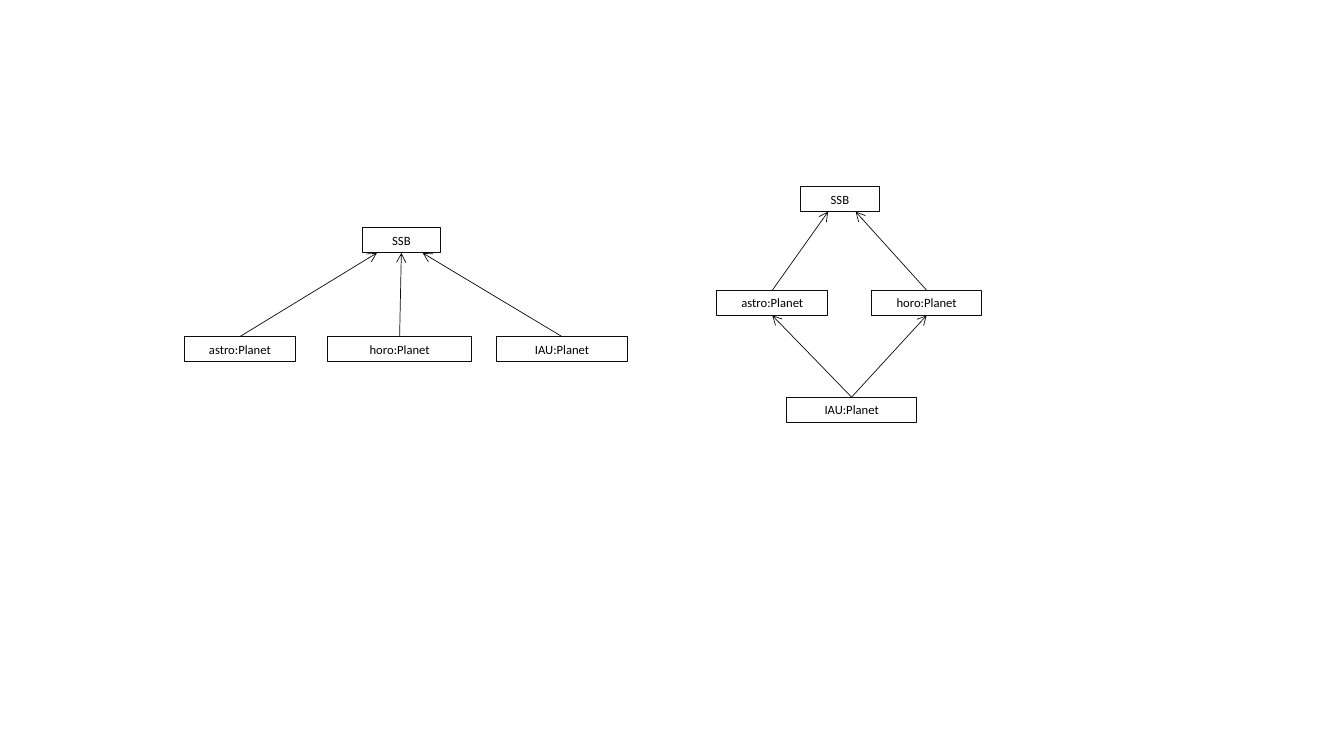
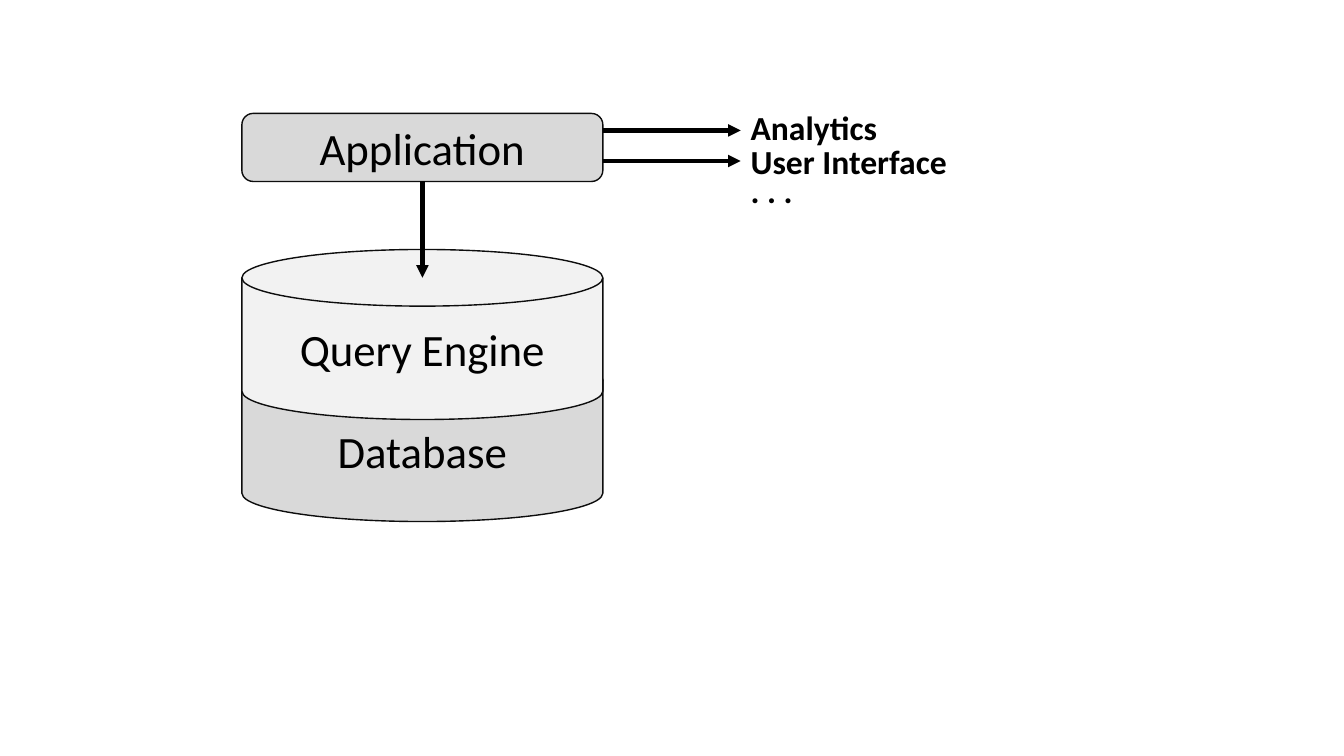
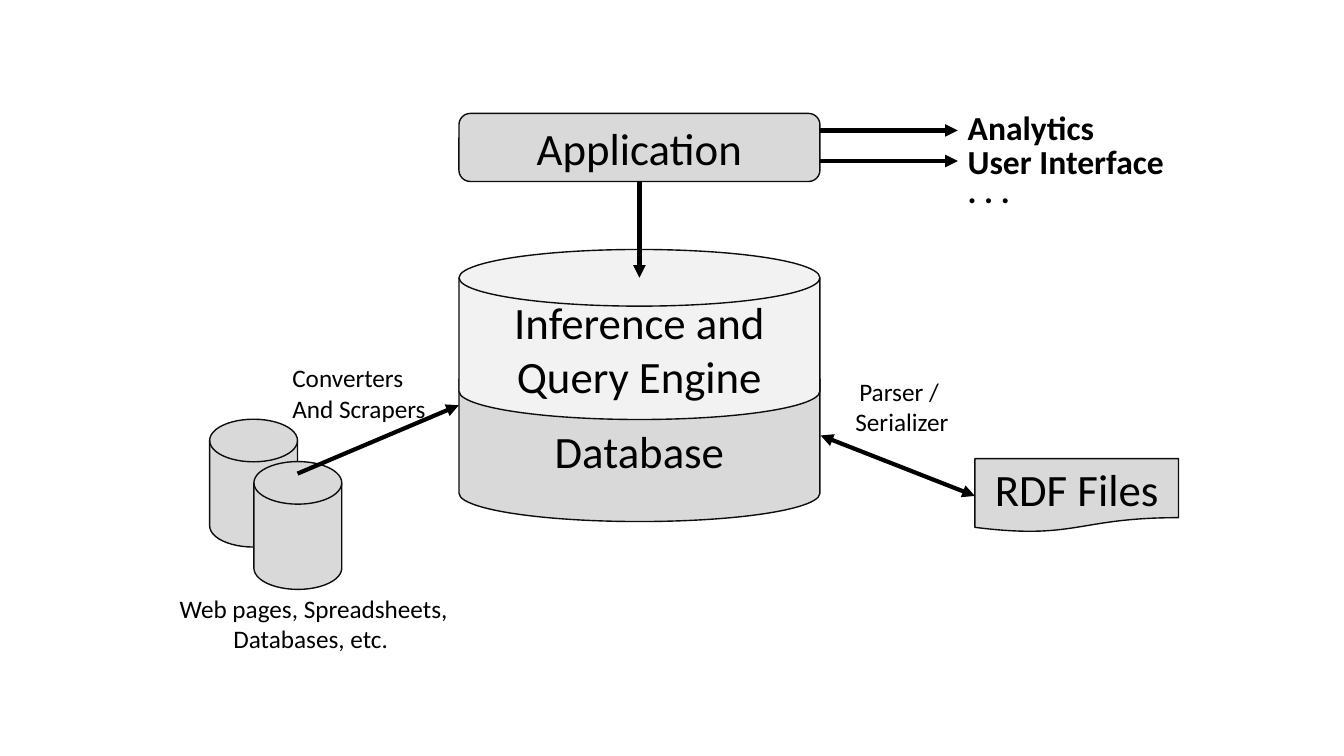
import dataclasses

import lxml.etree
import pptx
import pptx.dml.color
import pptx.enum.shapes
import pptx.enum.text
import pptx.oxml.ns
import pptx.util

FONT = "Calibri"
INK, OUTLINE, GREY, PALE = "000000", "0D0D0D", "D9D9D9", "F2F2F2"
NODE_HEIGHT = 0.25
SHAPES = pptx.enum.shapes.MSO_SHAPE
ALIGN = pptx.enum.text.PP_ALIGN
ANCHOR = pptx.enum.text.MSO_ANCHOR
FIT = pptx.enum.text.MSO_AUTO_SIZE.SHAPE_TO_FIT_TEXT


@dataclasses.dataclass
class Region:
    """A box in inches whose inner places are percentages of its size."""

    left: float
    top: float
    width: float
    height: float

    def point(self, x, y):
        """Return the position at the given percentages."""
        return self.left + self.width * x / 100, self.top + self.height * y / 100

    def inner(self, x, y, width, height):
        """Return the region at the given percentages."""
        return Region(*self.point(x, y), self.width * width / 100, self.height * height / 100)

    def emu(self):
        """Return the four lengths that a new shape takes."""
        return [pptx.util.Inches(value) for value in dataclasses.astuple(self)]


PAGE = Region(0, 0, 13.33, 7.5)


def color(value):
    """Turn a hex string into a colour."""
    return pptx.dml.color.RGBColor.from_string(value)


def write(shape, text, size, align=ALIGN.CENTER, bold=False):
    """Set the text of a shape and format its runs."""
    shape.text_frame.text = text
    for paragraph in shape.text_frame.paragraphs:
        paragraph.alignment = align
        for run in paragraph.runs:
            run.font.name = FONT
            run.font.size = pptx.util.Pt(size)
            run.font.bold = bold
            run.font.color.rgb = color(INK)


def add_block(slide, kind, region, text="", fill=None, size=32, line_width=1):
    """Add an outlined shape with centred text."""
    shape = slide.shapes.add_shape(kind, *region.emu())
    shape.shadow.inherit = False
    if fill:
        shape.fill.solid()
        shape.fill.fore_color.rgb = color(fill)
    else:
        shape.fill.background()
    shape.line.color.rgb = color(OUTLINE)
    shape.line.width = pptx.util.Pt(line_width)
    shape.text_frame.vertical_anchor = ANCHOR.MIDDLE
    if text:
        write(shape, text, size)
    return shape


def add_label(slide, region, text, size=18, align=ALIGN.LEFT, bold=False, wrap=False):
    """Add a text box that fits its text."""
    label = slide.shapes.add_textbox(*region.emu())
    label.text_frame.word_wrap = wrap
    label.text_frame.auto_size = FIT
    write(label, text, size, align, bold)


def add_arrow(slide, start, end, width=3, line_color=INK, tip="triangle", both=False):
    """Add a straight arrow between two points in inches."""
    lengths = [pptx.util.Inches(value) for value in (*start, *end)]
    arrow = slide.shapes.add_connector(pptx.enum.shapes.MSO_CONNECTOR.STRAIGHT, *lengths)
    arrow.line.color.rgb = color(line_color)
    arrow.line.width = pptx.util.Pt(width)
    outline = arrow.line._get_or_add_ln()
    for tag in ("a:headEnd", "a:tailEnd") if both else ("a:tailEnd",):
        lxml.etree.SubElement(outline, pptx.oxml.ns.qn(tag), type=tip)
    lxml.etree.SubElement(arrow._element.spPr, pptx.oxml.ns.qn("a:effectLst"))


def add_hierarchy(slide, region, nodes, edges):
    """Draw class boxes and arrows from each child to a point under its parent."""
    boxes = {}
    for name, (center, top, width) in nodes.items():
        box = region.inner(center - width / 2, top, width, 0)
        box.height = NODE_HEIGHT
        boxes[name] = box
        node = add_block(slide, SHAPES.RECTANGLE, box, name, size=9, line_width=0.75)
        node.text_frame.vertical_anchor = ANCHOR.TOP
        node.text_frame.auto_size = FIT
    for child, parent, landing in edges:
        add_arrow(slide, boxes[child].point(50, 0), boxes[parent].point(landing, 100),
                  0.5, OUTLINE, "arrow")


def add_system(slide, region, engine):
    """Draw the application over its engine and database, with its outputs."""
    side, output = 50.3, 69.5
    disk = SHAPES.FLOWCHART_MAGNETIC_DISK
    row = 100 / 12
    blocks = [
        (disk, 7, 5, "Database", GREY),
        (disk, 4, 5, engine, PALE),
        (SHAPES.FLOWCHART_ALTERNATE_PROCESS, 0, 2, "Application", GREY),
    ]
    for kind, top, rows, text, fill in blocks:
        add_block(slide, kind, region.inner(0, top * row, side, rows * row), text, fill)
    add_arrow(slide, region.point(side / 2, 2 * row), region.point(side / 2, 4.83 * row))
    for level in (0.5, 1.4):
        add_arrow(slide, region.point(side, level * row), region.point(output, level * row))
    outputs = [("Analytics", -2.7, 20.6), ("User Interface", 5.4, 30.5), (". . . ", 12.6, 9.8)]
    for text, top, width in outputs:
        add_label(slide, region.inner(output, top, width, 12.3), text, 24, bold=True)


def add_sources(slide, region):
    """Draw the source disks and the converters that feed the database."""
    for left, top in ((17.6, 20.3), (31.4, 34.3)):
        add_block(slide, SHAPES.FLOWCHART_MAGNETIC_DISK,
                  region.inner(left, top, 27.4, 42.3), fill=GREY)
    add_arrow(slide, region.point(45, 38.3), region.point(95.3, 15.7))
    add_label(slide, region.inner(40.3, 0, 48.4, 23.7), "Converters\nAnd Scrapers")
    add_label(slide, region.inner(0, 76.3, 100, 23.7),
              "Web pages, Spreadsheets, Databases, etc. ", align=ALIGN.CENTER, wrap=True)


def add_files(slide, region):
    """Draw the document and its two-way link to the database."""
    add_block(slide, SHAPES.FLOWCHART_DOCUMENT,
              region.inner(43.1, 54.4, 56.9, 45.6), "RDF Files", GREY)
    add_arrow(slide, region.point(0, 40), region.point(43.1, 77.5), both=True)
    add_label(slide, region.inner(6.8, 0, 31.8, 44.4), "Parser / \nSerializer",
              align=ALIGN.CENTER)


presentation = pptx.Presentation()
presentation.slide_width, presentation.slide_height = PAGE.emu()[2:]
planets, query_system, inference_system = [
    presentation.slides.add_slide(presentation.slide_layouts[6]) for _ in range(3)
]

add_hierarchy(
    planets, PAGE.inner(13.73, 30.13, 32.93, 17.73),
    {"SSB": (49, 0, 17.8), "astro:Planet": (12.5, 81.2, 25),
     "horo:Planet": (48.6, 81.2, 32.6), "IAU:Planet": (85.3, 81.2, 29.4)},
    [("astro:Planet", "SSB", 19), ("IAU:Planet", "SSB", 77), ("horo:Planet", "SSB", 50)],
)
add_hierarchy(
    planets, PAGE.inner(53.34, 24.67, 19.73, 31.2),
    {"SSB": (46.4, 0, 29.7), "astro:Planet": (20.9, 44, 41.8),
     "horo:Planet": (79.1, 44, 41.8), "IAU:Planet": (50.8, 89.3, 49)},
    [("astro:Planet", "SSB", 35), ("IAU:Planet", "astro:Planet", 50),
     ("horo:Planet", "SSB", 70), ("IAU:Planet", "horo:Planet", 50)],
)

add_system(query_system, PAGE.inner(18, 15, 53.4, 54), "Query Engine")

add_system(inference_system, PAGE.inner(34.15, 15, 53.4, 54), "Inference and Query Engine")
add_sources(inference_system, PAGE.inner(11.4, 47.33, 23.86, 40))
add_files(inference_system, PAGE.inner(61.06, 49.07, 26.63, 21.33))

presentation.save("out.pptx")
